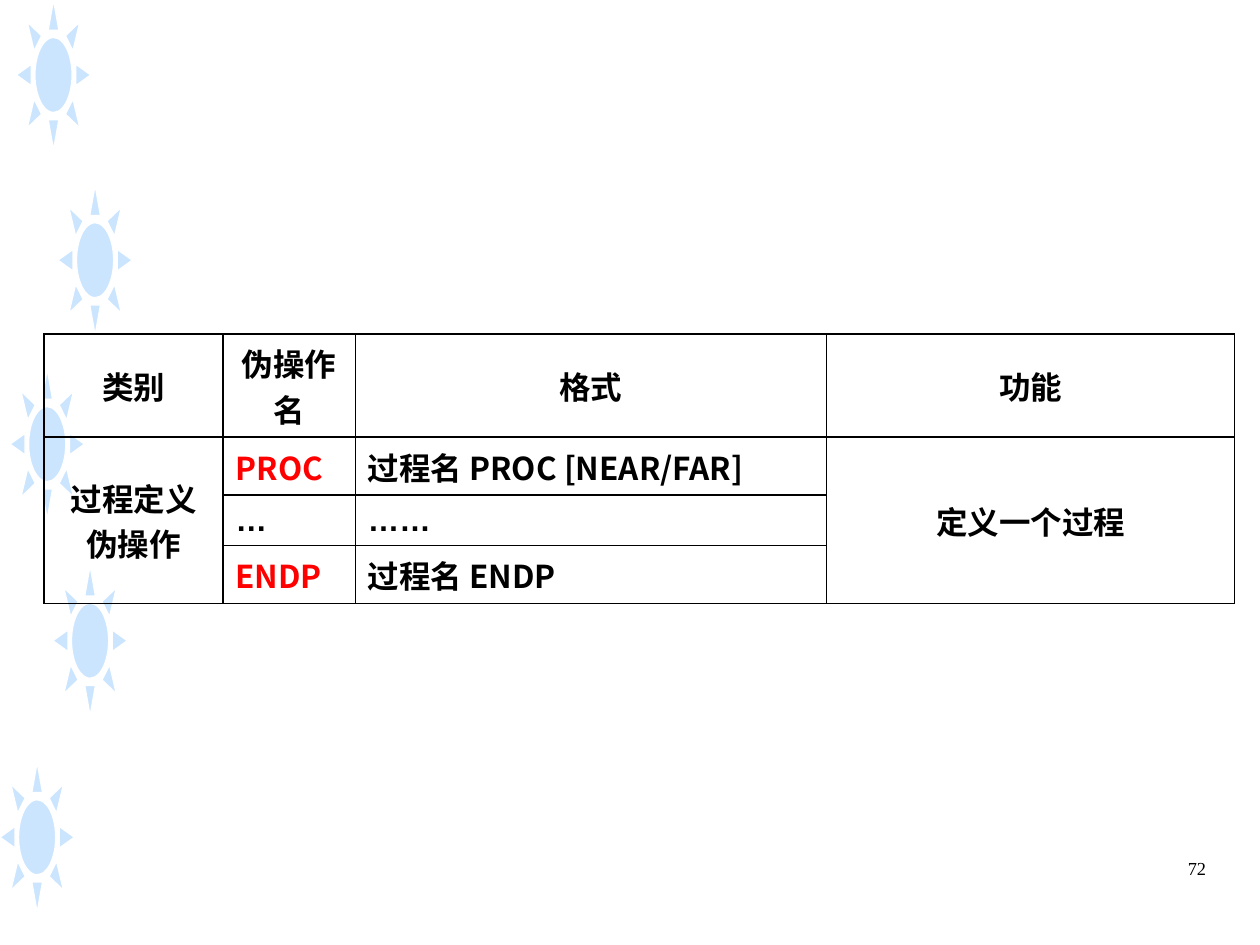
from lxml import etree
from pptx import Presentation, util as u
from pptx.dml.color import RGBColor
from pptx.enum import shapes, text
from pptx.oxml import ns

BLACK = RGBColor(0x00, 0x00, 0x00)
RED = RGBColor(0xFF, 0x00, 0x00)
WHITE = RGBColor(0xFF, 0xFF, 0xFF)
SKY = RGBColor(0x99, 0xCC, 0xFF)
CJK, LATIN, SERIF = "Noto Sans CJK SC", "Arial", "Times New Roman"
LEFT, CENTER, RIGHT = text.PP_ALIGN.LEFT, text.PP_ALIGN.CENTER, text.PP_ALIGN.RIGHT

prs = Presentation()
prs.slide_width, prs.slide_height = u.Inches(10), u.Inches(7.5)
s = prs.slides.add_slide(prs.slide_layouts[6])


def write(tf, words, size=18, font=CJK, color=BLACK, bold=True, align=LEFT):
    p = tf.paragraphs[0]
    p.alignment = align
    r = p.add_run()
    r.text = words
    r.font.size, r.font.bold, r.font.name = u.Pt(size), bold, font
    r.font.color.rgb = color
    etree.SubElement(r._r.rPr, ns.qn("a:ea"), typeface=font)


def draw_borders(cell):
    tcPr = cell._tc.get_or_add_tcPr()
    for i, side in enumerate(("lnL", "lnR", "lnT", "lnB")):
        ln = etree.Element(ns.qn(f"a:{side}"), w=str(u.Pt(1)))
        fill = etree.SubElement(ln, ns.qn("a:solidFill"))
        etree.SubElement(fill, ns.qn("a:srgbClr"), val=str(BLACK))
        tcPr.insert(i, ln)


# Column of pale suns down the left edge
for x, y in ((0.13, 0), (0.46, 1.47), (0.08, 2.93), (0.42, 4.49), (0, 6.05)):
    sun = s.shapes.add_shape(shapes.MSO_SHAPE.SUN, u.Inches(x), u.Inches(y),
                             u.Inches(0.59), u.Inches(1.19))
    sun.shadow.inherit = False
    sun.adjustments[0] = 0.25
    sun.fill.solid()
    sun.fill.fore_color.rgb = SKY
    tint = sun.fill._xPr.find(".//" + ns.qn("a:srgbClr"))
    etree.SubElement(tint, ns.qn("a:alpha"), val="50000")
    sun.line.color.rgb = WHITE
    sun.line.width = u.Pt(0.75)

# Slide number
sp = s.shapes.add_textbox(u.Inches(7.17), u.Inches(6.75), u.Inches(2.5), u.Inches(0.52))
sp.text_frame.word_wrap = True
write(sp.text_frame, "72", size=10.5, font=SERIF, bold=False, align=RIGHT)

# Table of procedure directives
COLS = (1.42, 1.05, 3.74, 3.24)
ROWS = (0.82, 0.46, 0.4, 0.46)
CELLS = (
    ("类别", "伪操作名", "格式", "功能"),
    ("过程定义伪操作", "PROC", "过程名 PROC [NEAR/FAR]", "定义一个过程"),
    ("", "…", "……", ""),
    ("", "ENDP", "过程名 ENDP", ""),
)
table = s.shapes.add_table(len(ROWS), len(COLS), u.Inches(0.35), u.Inches(2.65),
                           u.Inches(sum(COLS)), u.Inches(sum(ROWS))).table
table.first_row = table.horz_banding = False
for column, width in zip(table.columns, COLS):
    column.width = u.Inches(width)
for row, height in zip(table.rows, ROWS):
    row.height = u.Inches(height)
for c in (0, 3):
    table.cell(1, c).merge(table.cell(3, c))

for i, words_in_row in enumerate(CELLS):
    for j, words in enumerate(words_in_row):
        cell = table.cell(i, j)
        cell.fill.background()
        cell.vertical_anchor = text.MSO_ANCHOR.MIDDLE
        draw_borders(cell)
        if words:
            write(cell.text_frame, words,
                  font=LATIN if "…" in words else CJK,
                  color=RED if words in ("PROC", "ENDP") else BLACK,
                  align=CENTER if i == 0 or j in (0, 3) else LEFT)

prs.save("out.pptx")
